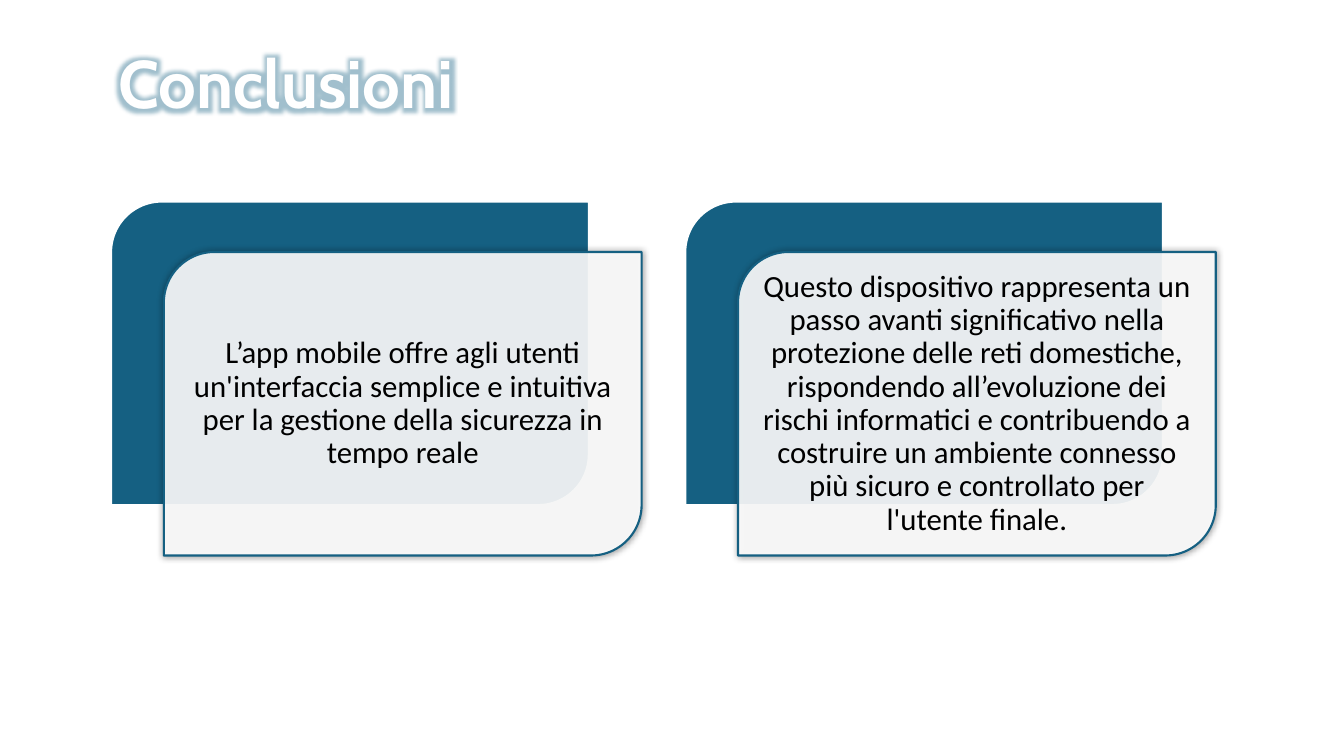
from lxml import etree
from pptx import Presentation
from pptx.dml.color import RGBColor
from pptx.enum import shapes, text
from pptx.oxml import ns
from pptx.util import Cm, Pt

HUES = {"teal": "156082", "white": "FFFFFF", "black": "000000"}
CARDS = [
    "L’app mobile offre agli utenti un'interfaccia semplice e intuitiva "
    "per la gestione della sicurezza in tempo reale",
    "Questo dispositivo rappresenta un passo avanti significativo nella "
    "protezione delle reti domestiche, rispondendo all’evoluzione dei rischi "
    "informatici e contribuendo a costruire un ambiente connesso più sicuro "
    "e controllato per l'utente finale.",
]


def hue(name):
    return RGBColor.from_string(HUES[name])


def add_alpha(clr, share):
    etree.SubElement(clr, ns.qn("a:alpha"), val=str(share * 1000))


def add_effect(parent, kind, name, share, **sizes):
    """Append one glow or shadow, lengths given in EMU."""
    group = parent.find(ns.qn("a:effectLst"))
    if group is None:
        group = etree.SubElement(parent, ns.qn("a:effectLst"))
    attrs = {key: str(int(val)) for key, val in sizes.items()}
    effect = etree.SubElement(group, ns.qn("a:" + kind), attrs)
    clr = etree.SubElement(effect, ns.qn("a:srgbClr"), val=HUES[name])
    add_alpha(clr, share)


def add_text(slide, box, words, font, size, color, bold=False, inset=0.23):
    """Place centred text in a box (left, top, width, height in cm)."""
    frame = slide.shapes.add_textbox(*map(Cm, box)).text_frame
    frame.word_wrap = True
    frame.vertical_anchor = text.MSO_ANCHOR.MIDDLE
    frame.margin_left = frame.margin_right = Cm(inset)
    frame.margin_top = frame.margin_bottom = Cm(inset)
    para = frame.paragraphs[0]
    para.alignment = text.PP_ALIGN.CENTER
    para.line_spacing = 0.9
    para.font.name, para.font.size, para.font.bold = font, Pt(size), bold
    para.font.color.rgb = hue(color)
    run = para.add_run()
    run.text = words
    return run


def add_title(slide, box):
    run = add_text(slide, box, "Conclusioni", "Cabin", 48, "white", True)
    add_effect(run._r.get_or_add_rPr(), "glow", "teal", 40, rad=Pt(11))


def add_panel(slide, box, fill, line):
    panel = slide.shapes.add_shape(
        shapes.MSO_SHAPE.ROUND_2_DIAG_RECTANGLE, *map(Cm, box))
    panel.shadow.inherit = False
    panel.fill.solid()
    panel.fill.fore_color.rgb = hue(fill)
    panel.line.color.rgb = hue(line)
    panel.line.width = Pt(1.5)
    return panel


def add_card(slide, box, words):
    """Teal panel with a pale one shifted down and right over it."""
    left, top, wide, high = box
    add_panel(slide, box, "teal", "white")
    left, top = left + 1.33, top + 1.27
    front = add_panel(slide, (left, top, wide, high), "white", "teal")
    props = front._element.spPr
    add_alpha(props.find(ns.qn("a:solidFill"))[0], 90)
    add_effect(props, "outerShdw", "black", 40, blurRad=Pt(5), dist=0)
    pad = 0.37
    inner = (left + pad, top + pad, wide - 2 * pad, high - 2 * pad)
    add_text(slide, inner, words, "Calibri", 22, "black")


def main():
    deck = Presentation()
    deck.slide_width, deck.slide_height = Cm(33.87), Cm(19.05)
    slide = deck.slides.add_slide(deck.slide_layouts[6])
    add_title(slide, (1.5, 0.97, 11.43, 2.44))
    for i, words in enumerate(CARDS):
        add_card(slide, (2.8 + 14.58 * i - 0.11 * i, 5.08, 12.04, 7.65), words)
    deck.save("out.pptx")


if __name__ == "__main__":
    main()
